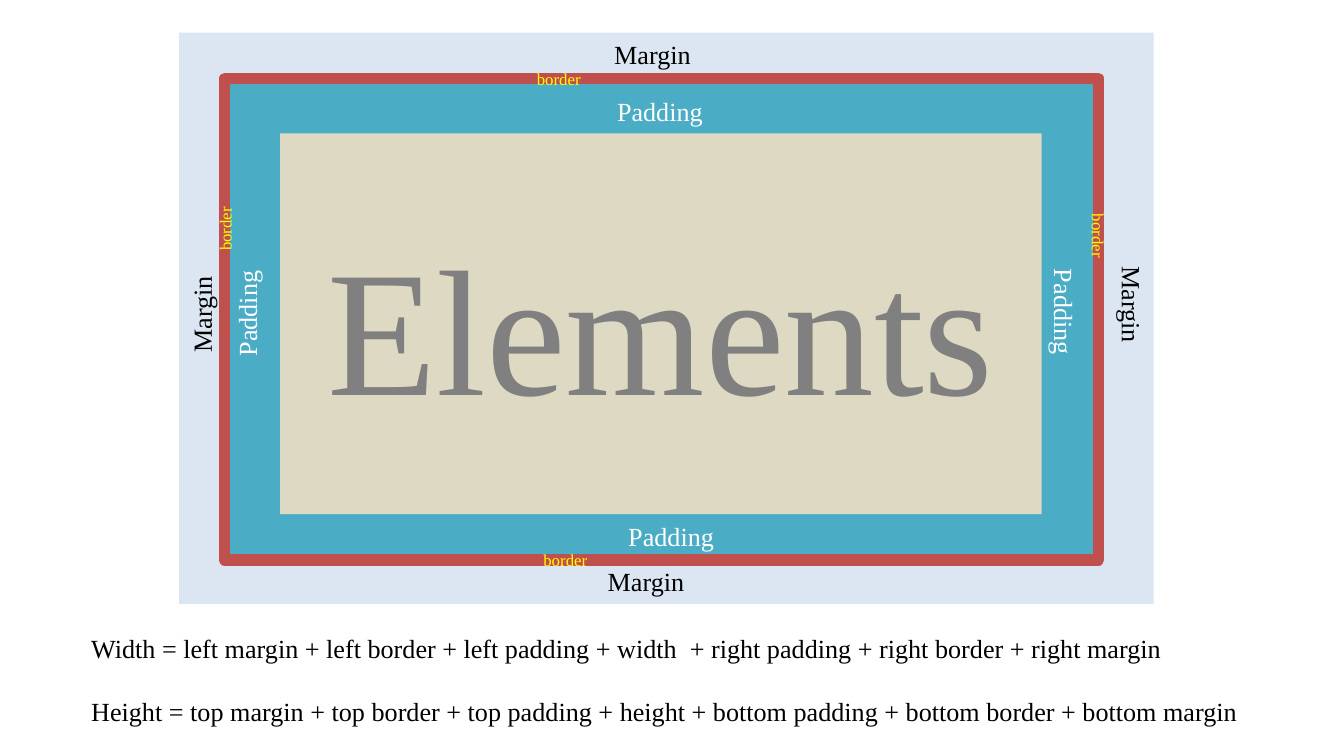
from pptx import Presentation
from pptx.dml.color import RGBColor
from pptx.enum import shapes, text
from pptx.util import Pt

FONT = "Times New Roman"
BLACK = RGBColor(0x00, 0x00, 0x00)
WHITE = RGBColor(0xFF, 0xFF, 0xFF)
YELLOW = RGBColor(0xFF, 0xFF, 0x00)
GRAY = RGBColor(0x80, 0x80, 0x80)
MARGIN_BLUE = RGBColor(0xDC, 0xE6, 0xF2)
BORDER_RED = RGBColor(0xC0, 0x50, 0x4D)
PADDING_TEAL = RGBColor(0x4B, 0xAC, 0xC6)
CONTENT_TAN = RGBColor(0xDD, 0xD9, 0xC3)

ROTATIONS = (0, 270, 90, 0)  # top, left, right, bottom


def style_text(para, size, color):
    for span in para.runs:
        span.font.name = FONT
        span.font.size = Pt(size)
        span.font.color.rgb = color


def add_panel(slide, box, fill, line=None):
    left, top, width, height = box
    panel = slide.shapes.add_shape(shapes.MSO_SHAPE.RECTANGLE,
                                   Pt(left), Pt(top), Pt(width), Pt(height))
    panel.shadow.inherit = False
    panel.fill.solid()
    panel.fill.fore_color.rgb = fill
    if line is None:
        panel.line.fill.background()
    else:
        panel.line.color.rgb = line
        panel.line.width = Pt(6)
    return panel


def add_side_labels(slide, box, words, size, color, label_size, centers):
    """Label the four sides; centers are measured from the box's corner."""
    left, top = box[:2]
    width, height = label_size
    for (x, y), rotation in zip(centers, ROTATIONS):
        label = slide.shapes.add_textbox(Pt(left + x - width / 2),
                                         Pt(top + y - height / 2),
                                         Pt(width), Pt(height))
        label.rotation = rotation
        frame = label.text_frame
        frame.word_wrap = False
        frame.auto_size = text.MSO_AUTO_SIZE.SHAPE_TO_FIT_TEXT
        frame.text = words
        style_text(frame.paragraphs[0], size, color)


def add_box_model(slide, box):
    left, top, width, height = box
    padding_box = (left + 24.5, top + 24.5, 468, 258)
    content_box = (left + 54, top + 54, 408, 204)

    # Nested areas, from the outside in
    add_panel(slide, box, MARGIN_BLUE)
    add_panel(slide, padding_box, PADDING_TEAL, BORDER_RED)
    content = add_panel(slide, content_box, CONTENT_TAN)
    frame = content.text_frame
    frame.text = "Elements"
    frame.vertical_anchor = text.MSO_ANCHOR.MIDDLE
    frame.paragraphs[0].alignment = text.PP_ALIGN.CENTER
    style_text(frame.paragraphs[0], 96, GRAY)

    # Side labels: top, left, right, bottom
    add_side_labels(slide, box, "Margin", 14, BLACK, (56, 20),
                    ((254, 9.5), (10, 150.5), (512.5, 146), (250.5, 292)))
    add_side_labels(slide, padding_box, "Padding", 14, WHITE, (61, 24.5),
                    ((233.5, 18), (12, 125.5), (449.5, 125.5), (239.5, 245.5)))
    add_side_labels(slide, padding_box, "border", 9, YELLOW, (38, 18),
                    ((179, 0), (0, 80.5), (468, 84.5), (182.5, 258)))


def add_formulas(slide, box):
    left, top, width, height = box
    formulas = slide.shapes.add_textbox(Pt(left), Pt(top), Pt(width), Pt(height))
    frame = formulas.text_frame
    frame.word_wrap = True
    frame.text = (
        "Width = left margin + left border + left padding + width  "
        "+ right padding + right border + right margin\n"
        "Height = top margin + top border + top padding + height "
        "+ bottom padding + bottom border + bottom margin")
    for para in frame.paragraphs:
        style_text(para, 14, BLACK)
    frame.paragraphs[1].space_before = Pt(17)


def main():
    deck = Presentation()
    deck.slide_width, deck.slide_height = Pt(720), Pt(405)
    slide = deck.slides.add_slide(deck.slide_layouts[6])
    add_box_model(slide, (96, 17.5, 522, 306))
    add_formulas(slide, (41.75, 335, 649, 58))
    deck.save("out.pptx")


if __name__ == "__main__":
    main()
